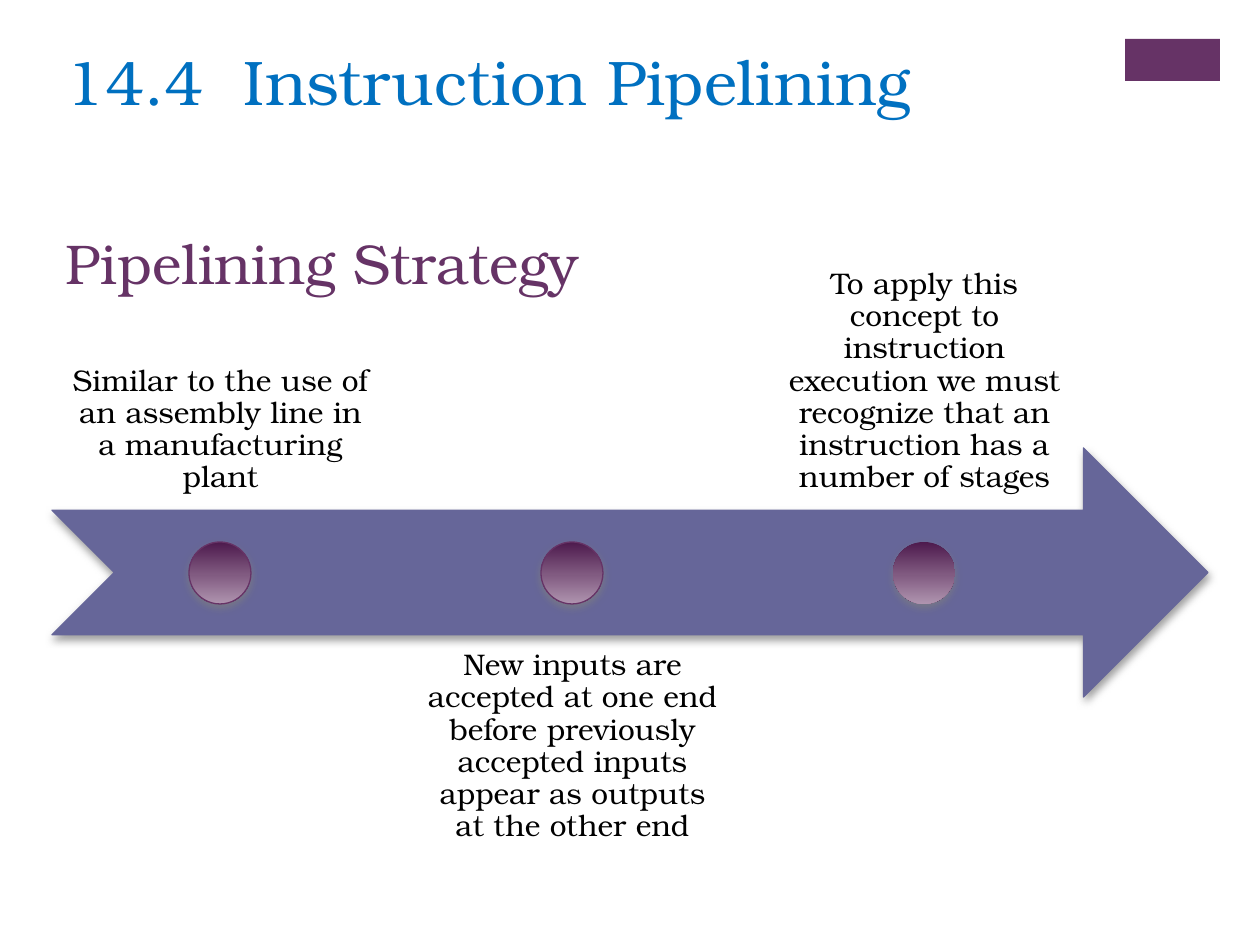
import pptx
import pptx.dml.color
import pptx.enum.shapes
import pptx.enum.text
import pptx.oxml
import pptx.oxml.ns
import pptx.util

SHAPE = pptx.enum.shapes.MSO_SHAPE
ALIGN = pptx.enum.text.PP_ALIGN
ANCHOR = pptx.enum.text.MSO_ANCHOR
PX = 914400 / 126
COLORS = {"plum": "663366", "arrow": "666699", "dark": "4D1A4D", "light": "AF94AF",
          "heading": "0070C0", "text": "000000", "shadow": "808080"}
SHADOW = (
    '<a:effectLst xmlns:a="http://schemas.openxmlformats.org/drawingml/2006/main">'
    '<a:outerShdw blurRad="63500" dist="25400" dir="5400000" rotWithShape="0">'
    f'<a:srgbClr val="{COLORS["shadow"]}"><a:alpha val="75000"/></a:srgbClr>'
    '</a:outerShdw></a:effectLst>')


def px(n):
    return pptx.util.Emu(round(n * PX))


def rgb(name):
    return pptx.dml.color.RGBColor.from_string(COLORS[name])


class Deck:
    """Hold the presentation, its text style and the current slide."""

    def __init__(self, width, height, font):
        self.prs = pptx.Presentation()
        self.prs.slide_width, self.prs.slide_height = px(width), px(height)
        self.font = font
        self.s = self.prs.slides.add_slide(self.prs.slide_layouts[5])

    def fill_text(self, sp, text, size, color, inset=(13, 6), anchor=ANCHOR.TOP,
                  **paragraph):
        tf = sp.text_frame
        dx, dy = map(px, inset)
        frame = {"word_wrap": True, "auto_size": pptx.enum.text.MSO_AUTO_SIZE.NONE,
                 "vertical_anchor": anchor, "margin_left": dx, "margin_right": dx,
                 "margin_top": dy, "margin_bottom": dy}
        p = tf.paragraphs[0]
        r = p.add_run()
        r.text = text
        formats = ((tf, frame), (p, {"alignment": ALIGN.LEFT, **paragraph}),
                   (r.font, {"name": self.font, "size": pptx.util.Pt(size)}))
        for target, values in formats:
            for key, value in values.items():
                setattr(target, key, value)
        r.font.color.rgb = rgb(color)

    def title(self, box, text, size, color):
        sp = self.s.shapes.title
        for key, value in zip(("left", "top", "width", "height"), box):
            setattr(sp, key, px(value))
        self.fill_text(sp, text, size, color)

    def text(self, box, text, size, color, **style):
        sp = self.s.shapes.add_textbox(*map(px, box))
        self.fill_text(sp, text, size, color, **style)

    def shape(self, kind, box, fill, line=None, shadow=False):
        sp = self.s.shapes.add_shape(kind, *map(px, box))
        sp.shadow.inherit = False
        if isinstance(fill, tuple):
            sp.fill.gradient()
            sp.fill.gradient_angle = 270
            for stop, name in zip(sp.fill.gradient_stops, fill):
                stop.color.rgb = rgb(name)
        else:
            sp.fill.solid()
            sp.fill.fore_color.rgb = rgb(fill)
        if line:
            sp.line.color.rgb = rgb(line)
            sp.line.width = pptx.util.Pt(0.75)
        else:
            sp.line.fill.background()
        if shadow:
            spPr = sp.element.spPr
            empty = spPr.find(pptx.oxml.ns.qn("a:effectLst"))
            spPr.replace(empty, pptx.oxml.parse_xml(SHADOW))


def main():
    deck = Deck(1260, 945, "TeX Gyre Bonum")
    deck.shape(SHAPE.RECTANGLE, (1125, 39, 95, 42), "plum")
    deck.title((53, 223, 796, 101), "Pipelining Strategy", 32, "plum")
    deck.shape(SHAPE.NOTCHED_RIGHT_ARROW, (52, 448, 1156, 249), "arrow", "arrow", True)

    above, below = (262, ANCHOR.BOTTOM), (634, ANCHOR.TOP)
    stages = [
        ("Similar to the use of an assembly line in a manufacturing plant",
         above, "plum"),
        ("New inputs are accepted at one end before previously accepted inputs "
         "appear as outputs at the other end", below, "plum"),
        ("To apply this concept to instruction execution we must recognize that "
         "an instruction has a number of stages", above, None),
    ]
    for i, (text, (top, anchor), line) in enumerate(stages):
        left = 53 + 352 * i
        deck.text((left, top, 335, 248), text, 17, "text", inset=(16, 16),
                  anchor=anchor, alignment=ALIGN.CENTER, line_spacing=0.9)
        deck.shape(SHAPE.OVAL, (left + 136, 542, 62, 62), ("dark", "light"), line, True)

    deck.text((53, 37, 1041, 154), "14.4  Instruction Pipelining", 36, "heading")
    deck.prs.save("out.pptx")


if __name__ == "__main__":
    main()
